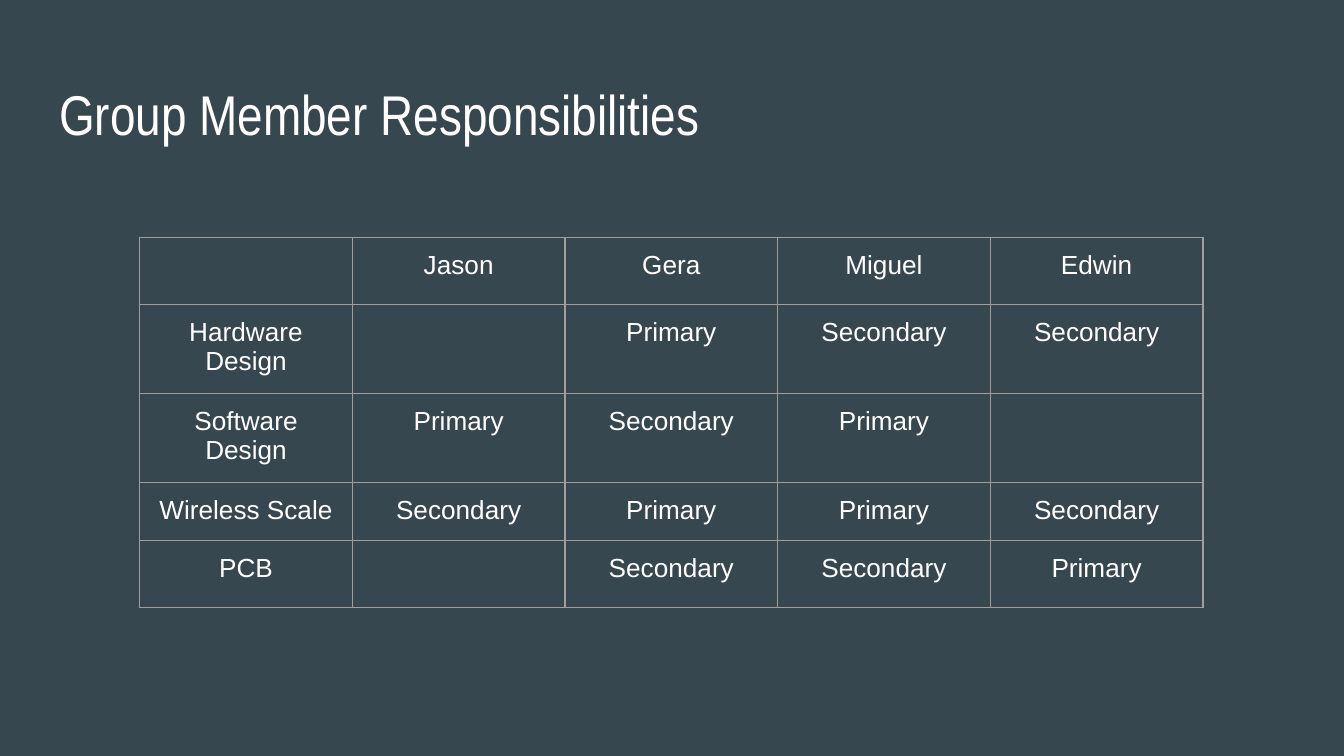
"""Build a slide with a table of group member responsibilities."""
from lxml import etree
from pptx import Presentation
from pptx import util as u
from pptx.dml.color import RGBColor
from pptx.enum import text
from pptx.oxml import ns

COLOURS = {"background": "37474F", "text": "FFFFFF", "border": "9E9E9E"}
INSET = u.Cm(0.25)
COLUMN_WIDTH = 4.02
ROW_HEIGHTS = [1.22, 1.61, 1.61, 1.06, 1.22]
RESPONSIBILITIES = [
    ["", "Jason", "Gera", "Miguel", "Edwin"],
    ["Hardware Design", "", "Primary", "Secondary", "Secondary"],
    ["Software Design", "Primary", "Secondary", "Primary", ""],
    ["Wireless Scale", "Secondary", "Primary", "Primary", "Secondary"],
    ["PCB", "", "Secondary", "Secondary", "Primary"],
]


def colour(name):
    return RGBColor.from_string(COLOURS[name])


def set_insets(holder):
    holder.margin_left = holder.margin_right = INSET
    holder.margin_top = holder.margin_bottom = INSET


def write(frame, words, font, size, alignment):
    para = frame.paragraphs[0]
    para.text = words
    para.alignment = alignment
    para.font.name = font
    para.font.size = u.Pt(size)
    para.font.color.rgb = colour("text")


def add_title(page, words):
    box = page.shapes.add_textbox(u.Cm(0.87), u.Cm(1.25), u.Cm(23.67), u.Cm(1.6))
    frame = box.text_frame
    frame.word_wrap = True
    frame.vertical_anchor = text.MSO_ANCHOR.TOP
    set_insets(frame)
    write(frame, words, "Arial Narrow", 30, text.PP_ALIGN.LEFT)


def add_borders(cell):
    properties = cell._tc.get_or_add_tcPr()
    for position, side in enumerate(("lnL", "lnR", "lnT", "lnB")):
        line = etree.Element(ns.qn(f"a:{side}"), w=str(u.Pt(0.75)))
        fill = etree.SubElement(line, ns.qn("a:solidFill"))
        etree.SubElement(fill, ns.qn("a:srgbClr"), val=COLOURS["border"])
        properties.insert(position, line)


def add_table(page, rows):
    frame = page.shapes.add_table(
        len(rows), len(rows[0]), u.Cm(2.64), u.Cm(4.49),
        u.Cm(COLUMN_WIDTH * len(rows[0])), u.Cm(sum(ROW_HEIGHTS)))
    table = frame.table
    table.first_row = table.horz_banding = False
    for column in table.columns:
        column.width = u.Cm(COLUMN_WIDTH)
    for row, height, entries in zip(table.rows, ROW_HEIGHTS, rows):
        row.height = u.Cm(height)
        for cell, entry in zip(row.cells, entries):
            set_insets(cell)
            cell.fill.background()
            add_borders(cell)
            if entry:
                write(cell.text_frame, entry, "Arial", 14, text.PP_ALIGN.CENTER)


def main():
    deck = Presentation()
    deck.slide_width, deck.slide_height = u.Cm(25.4), u.Cm(14.29)
    page = deck.slides.add_slide(deck.slide_layouts[6])
    page.background.fill.solid()
    page.background.fill.fore_color.rgb = colour("background")
    add_title(page, "Group Member Responsibilities")
    add_table(page, RESPONSIBILITIES)
    deck.save("out.pptx")


if __name__ == "__main__":
    main()
